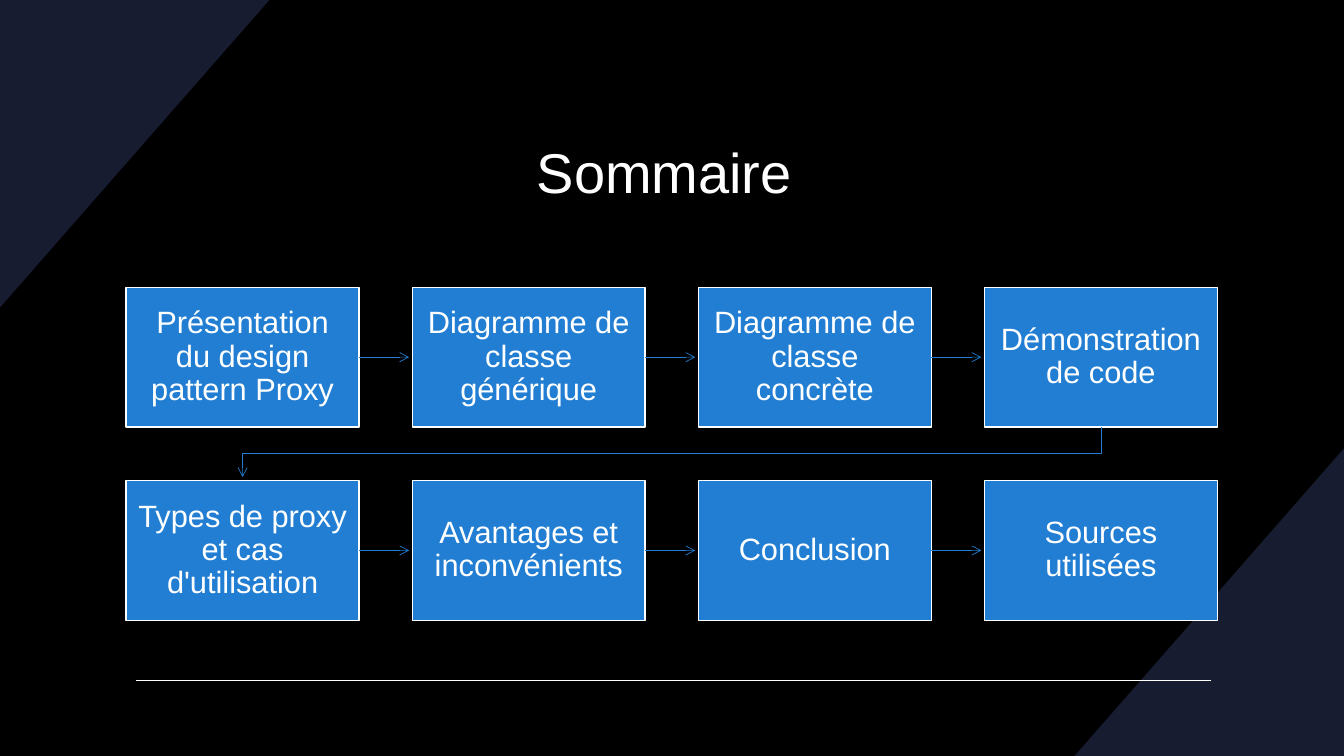
from lxml.etree import SubElement
from pptx import Presentation
from pptx.dml.color import RGBColor
from pptx.enum.shapes import MSO_CONNECTOR, MSO_SHAPE
from pptx.enum.text import MSO_ANCHOR, PP_ALIGN
from pptx.oxml.ns import qn
from pptx.util import Cm, Pt

WIDTH, HEIGHT = 33.87, 19.05
STEPS = [
    "Présentation du design pattern Proxy",
    "Diagramme de classe générique",
    "Diagramme de classe concrète",
    "Démonstration de code",
    "Types de proxy et cas d'utilisation",
    "Avantages et inconvénients",
    "Conclusion",
    "Sources utilisées",
]
COLUMNS = 4
LEFT, TOP = 3.18, 7.24
BOX_WIDTH, BOX_HEIGHT = 5.87, 3.52
COLUMN_PITCH, ROW_PITCH = 7.21, 4.87
ARROW_LENGTH = 1.26


def color(value):
    return RGBColor.from_string(value)


class SlideBuilder:
    """Draws styled elements on the current page."""

    font = "Arial"
    white, blue, navy, black = "FFFFFF", "217ED3", "181C30", "000000"

    def __init__(self, page):
        self.page = page
        page.background.fill.solid()
        page.background.fill.fore_color.rgb = color(self.black)

    def label(self, shape, text, size, spacing=None):
        frame = shape.text_frame
        frame.word_wrap = True
        frame.vertical_anchor = MSO_ANCHOR.MIDDLE
        para = frame.paragraphs[0]
        para.text = text
        para.alignment = PP_ALIGN.CENTER
        para.line_spacing = spacing
        para.font.name = self.font
        para.font.size = Pt(size)
        para.font.color.rgb = color(self.white)
        return frame

    def title(self, text, left, top, width, height):
        box = self.page.shapes.add_textbox(Cm(left), Cm(top), Cm(width), Cm(height))
        self.label(box, text, 40)

    def outline(self, points, closed):
        start, *others = [(Cm(x), Cm(y)) for x, y in points]
        builder = self.page.shapes.build_freeform(*start)
        builder.add_line_segments(others, close=closed)
        shape = builder.convert_to_shape()
        shape.shadow.inherit = False
        return shape

    def corner(self, points):
        shape = self.outline(points, closed=True)
        shape.fill.solid()
        shape.fill.fore_color.rgb = color(self.navy)
        shape.line.fill.background()

    def stroke(self, shape, value, width, arrow=False):
        shape.line.color.rgb = color(value)
        shape.line.width = Pt(width)
        if arrow:
            SubElement(shape._element.spPr.find(qn("a:ln")), qn("a:tailEnd"), type="arrow")

    def step(self, text, left, top):
        box = self.page.shapes.add_shape(
            MSO_SHAPE.RECTANGLE, Cm(left), Cm(top), Cm(BOX_WIDTH), Cm(BOX_HEIGHT))
        box.shadow.inherit = False
        box.fill.solid()
        box.fill.fore_color.rgb = color(self.blue)
        self.stroke(box, self.white, 1)
        frame = self.label(box, text, 22, 0.9)
        frame.margin_left = frame.margin_right = Cm(0.28)
        frame.margin_top = frame.margin_bottom = Cm(0.3)
        return box

    def line(self, left, right, y, value, width, source=None):
        connector = self.page.shapes.add_connector(
            MSO_CONNECTOR.STRAIGHT, Cm(left), Cm(y), Cm(right), Cm(y))
        if source is not None:
            connector.begin_connect(source, 3)
        self.stroke(connector, value, width, arrow=source is not None)
        SubElement(connector._element.spPr, qn("a:effectLst"))

    def bent_arrow(self, points):
        shape = self.outline(points, closed=False)
        shape.fill.background()
        self.stroke(shape, self.blue, 0.5, arrow=True)


def main():
    deck = Presentation()
    deck.slide_width, deck.slide_height = Cm(WIDTH), Cm(HEIGHT)
    slide = SlideBuilder(deck.slides.add_slide(deck.slide_layouts[6]))

    slide.corner([(WIDTH, 11.3), (WIDTH, HEIGHT), (27.08, HEIGHT)])
    slide.corner([(0, 7.75), (0, 0), (6.79, 0)])
    slide.line(3.43, 30.53, 17.14, slide.white, 1)
    slide.title("Sommaire ", LEFT, 2.41, 27.51, 3.78)

    for index, text in enumerate(STEPS):
        row, column = divmod(index, COLUMNS)
        left = LEFT + column * COLUMN_PITCH
        top = TOP + row * ROW_PITCH
        box = slide.step(text, left, top)
        if column < COLUMNS - 1:
            right = left + BOX_WIDTH
            slide.line(right, right + ARROW_LENGTH, top + BOX_HEIGHT / 2,
                       slide.blue, 0.5, box)

    first = LEFT + BOX_WIDTH / 2
    last = first + (COLUMNS - 1) * COLUMN_PITCH
    bottom = TOP + BOX_HEIGHT
    middle = (bottom + TOP + ROW_PITCH) / 2
    slide.bent_arrow([(last, bottom), (last, middle), (first, middle),
                      (first, bottom + ARROW_LENGTH)])
    deck.save("out.pptx")


if __name__ == "__main__":
    main()
